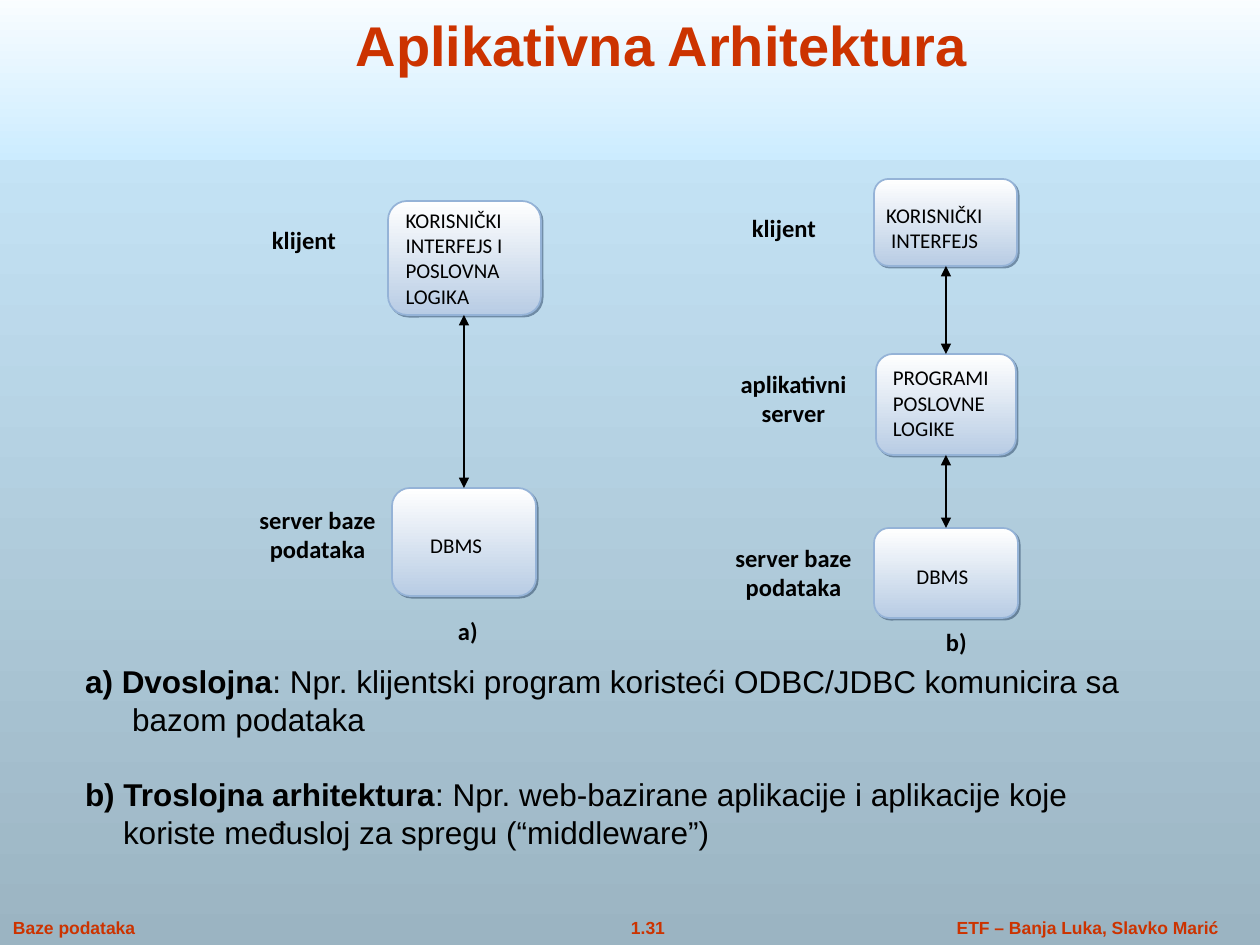
import pptx
import pptx.dml.color
import pptx.enum.shapes
import pptx.enum.text
import pptx.oxml
import pptx.oxml.ns
import pptx.util

PX = 914400 / 126
NS = pptx.oxml.ns.nsdecls("a")
SHADOW = (f'<a:outerShdw {NS} blurRad="0" dist="17780" dir="2700000">'
          '<a:srgbClr val="243F60"><a:alpha val="50000"/></a:srgbClr></a:outerShdw>')
ALIGN = pptx.enum.text.PP_ALIGN
ANCHOR = pptx.enum.text.MSO_ANCHOR
KIND = pptx.enum.shapes.MSO_SHAPE
TITLE = dict(name="Arial", size=32, bold=True, color="CC3300")
FOOT = dict(name="Arial", size=10, bold=True, color="CC3300")
BODY = dict(name="Arial", size=18, bold=False, color="000000")
NODE = dict(name="Calibri", size=12, bold=False, color="000000")
LABEL = dict(name="Calibri", size=14, bold=True, color="000000")


def paint(form, *tones):
    """Fill with one hex colour, or with a gradient from top to bottom."""
    if len(tones) == 1:
        form.solid()
        form.fore_color.rgb = pptx.dml.color.RGBColor.from_string(tones[0])
        return
    form.gradient()
    form.gradient_angle = 270
    for stop, tone in zip(form.gradient_stops, tones):
        stop.color.rgb = pptx.dml.color.RGBColor.from_string(tone)


def write(shape, lines, font, pad=(12, 6, 12, 6), anchor=ANCHOR.TOP,
          align=ALIGN.LEFT):
    """Each line is (left indent, hanging indent, runs of (text, bold))."""
    frame = shape.text_frame
    sides = ("margin_left", "margin_top", "margin_right", "margin_bottom")
    form = {side: int(gap * PX) for side, gap in zip(sides, pad)}
    form.update(word_wrap=True, vertical_anchor=anchor)
    for key, value in form.items():
        setattr(frame, key, value)
    for num, (left, hang, runs) in enumerate(lines):
        par = frame.add_paragraph() if num else frame.paragraphs[0]
        par.alignment = align
        if left:
            props = par._p.get_or_add_pPr()
            props.set("marL", str(int(left * PX)))
            props.set("indent", str(int(-hang * PX)))
        for text, bold in runs:
            run = par.add_run()
            run.text = text
            values = {"name": font["name"], "size": pptx.util.Pt(font["size"]),
                      "bold": bold}
            for key, value in values.items():
                setattr(run.font, key, value)
            paint(run.font.fill, font["color"])


deck = pptx.Presentation()
deck.slide_width = int(1260 * PX)
deck.slide_height = int(945 * PX)
slide = deck.slides.add_slide(deck.slide_layouts[6])
paint(slide.background.fill, "CCECFF", "9BB4C2")

band = slide.shapes.add_shape(KIND.RECTANGLE, 0, int(-21 * PX),
                              int(1260 * PX), int(181 * PX))
band.shadow.inherit = False
band.line.fill.background()
paint(band.fill, "FFFFFF", "CCECFF")

# Title, footer and labels: place, text, font, options
mid = dict(align=ALIGN.CENTER)
texts = [
    ((937, 911, 301, 34), "ETF – Banja Luka, Slavko Marić", FOOT, mid),
    ((586, 911, 124, 34), "1.31", FOOT, mid),
    ((1, 911, 180, 34), "Baze podataka", FOOT, {}),
    ((105, 0, 1113, 84), "Aplikativna Arhitektura", TITLE,
     dict(align=ALIGN.CENTER, anchor=ANCHOR.BOTTOM)),
    ((740, 207, 108, 52), "klijent", LABEL, {}),
    ((714, 363, 159, 92), "aplikativni server", LABEL, mid),
    ((714, 537, 159, 92), "server baze podataka", LABEL, mid),
    ((260, 219, 108, 52), "klijent", LABEL, {}),
    ((238, 499, 159, 92), "server baze podataka", LABEL, mid),
    ((446, 610, 64, 52), "a)", LABEL, {}),
    ((934, 621, 64, 52), "b)", LABEL, {}),
]
for place, text, font, more in texts:
    box = slide.shapes.add_textbox(*(int(n * PX) for n in place))
    write(box, [(0, 0, [(text, font["bold"])])], font, **more)

body = slide.shapes.add_textbox(*(int(n * PX) for n in (73, 656, 1062, 202)))
write(body, [
    (47, 47, [("a) Dvoslojna", True),
              (": Npr. klijentski program koristeći ODBC/JDBC komunicira sa "
               "bazom podataka", False)]),
    (38, 38, [("b) Troslojna arhitektura", True),
              (": Npr. web-bazirane aplikacije i aplikacije koje "
               "koriste međusloj za spregu (“middleware”)", False)]),
], BODY)
body.text_frame.paragraphs[1].space_before = pptx.util.Pt(21.5)

# Tiers: place, (indent, text) lines, padding, anchor
tiers = [
    ((874, 179, 143, 87), [(0, "KORISNIČKI"), (5, "INTERFEJS")],
     (8, 10, 3, 0), ANCHOR.MIDDLE),
    ((876, 354, 140, 101), [(0, "PROGRAMI POSLOVNE LOGIKE")],
     (12, 6, 12, 6), ANCHOR.TOP),
    ((874, 528, 144, 90), [(30, "DBMS")], (8, 6, 3, 0), ANCHOR.MIDDLE),
    ((388, 201, 153, 114), [(0, "KORISNIČKI INTERFEJS I POSLOVNA LOGIKA")],
     (12, 1, 12, 1), ANCHOR.TOP),
    ((392, 488, 144, 108), [(25, "DBMS")], (8, 6, 3, 0), ANCHOR.MIDDLE),
]
for place, lines, pad, anchor in tiers:
    tier = slide.shapes.add_shape(KIND.ROUNDED_RECTANGLE,
                                  *(int(n * PX) for n in place))
    paint(tier.fill, "FFFFFF", "B8CCE4")
    paint(tier.line.fill, "95B3D7")
    tier.line.width = pptx.util.Pt(1)
    tier.shadow.inherit = False
    effect = tier._element.spPr.find(pptx.oxml.ns.qn("a:effectLst"))
    effect.append(pptx.oxml.parse_xml(SHADOW))
    write(tier, [(left, 0, [(text, False)]) for left, text in lines],
          NODE, pad, anchor)

for x, top, end in [(946, 266, 354), (946, 455, 528), (464, 315, 488)]:
    arrow = slide.shapes.add_connector(
        pptx.enum.shapes.MSO_CONNECTOR.STRAIGHT,
        *(int(n * PX) for n in (x, top, x, end)))
    paint(arrow.line.fill, "000000")
    arrow.line.width = pptx.util.Pt(0.75)
    for tag in ("headEnd", "tailEnd"):
        arrow.line._get_or_add_ln().append(
            pptx.oxml.parse_xml(f'<a:{tag} {NS} type="triangle"/>'))
    arrow._element.spPr.append(pptx.oxml.parse_xml(f"<a:effectLst {NS}/>"))

deck.save("out.pptx")
